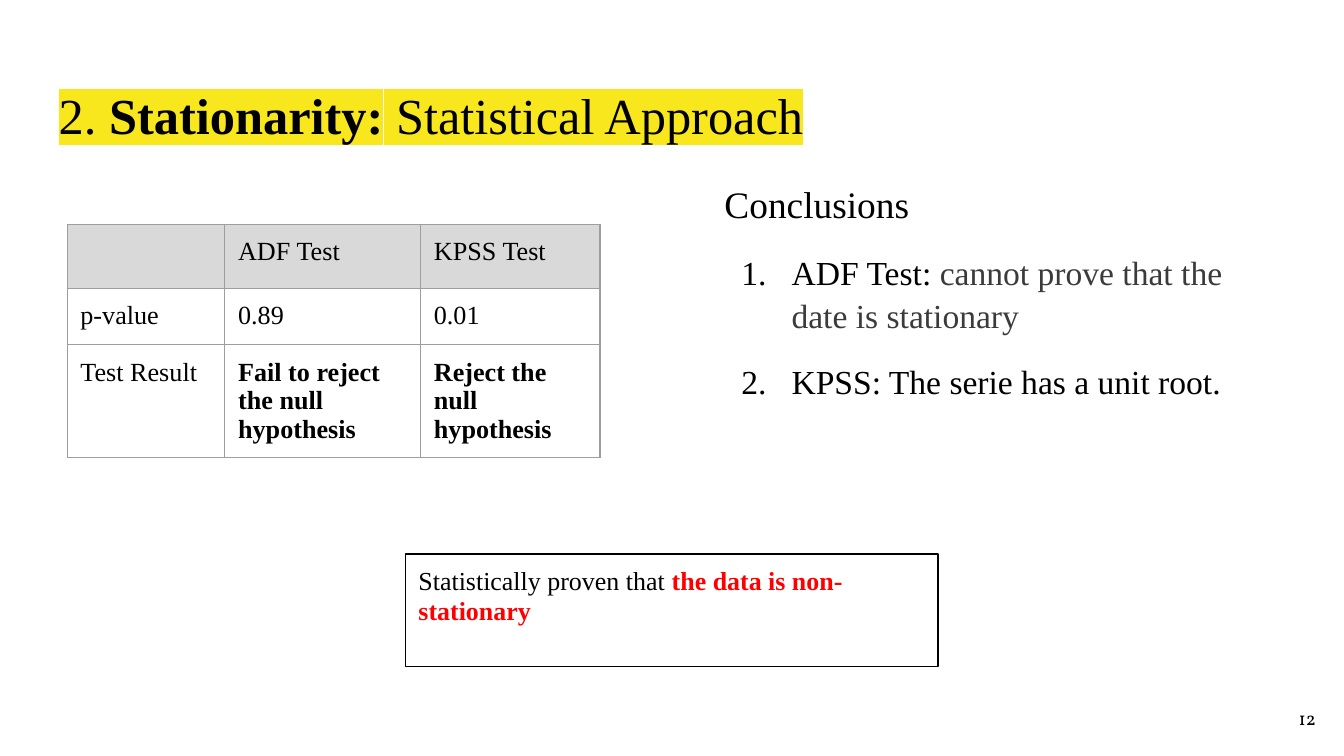
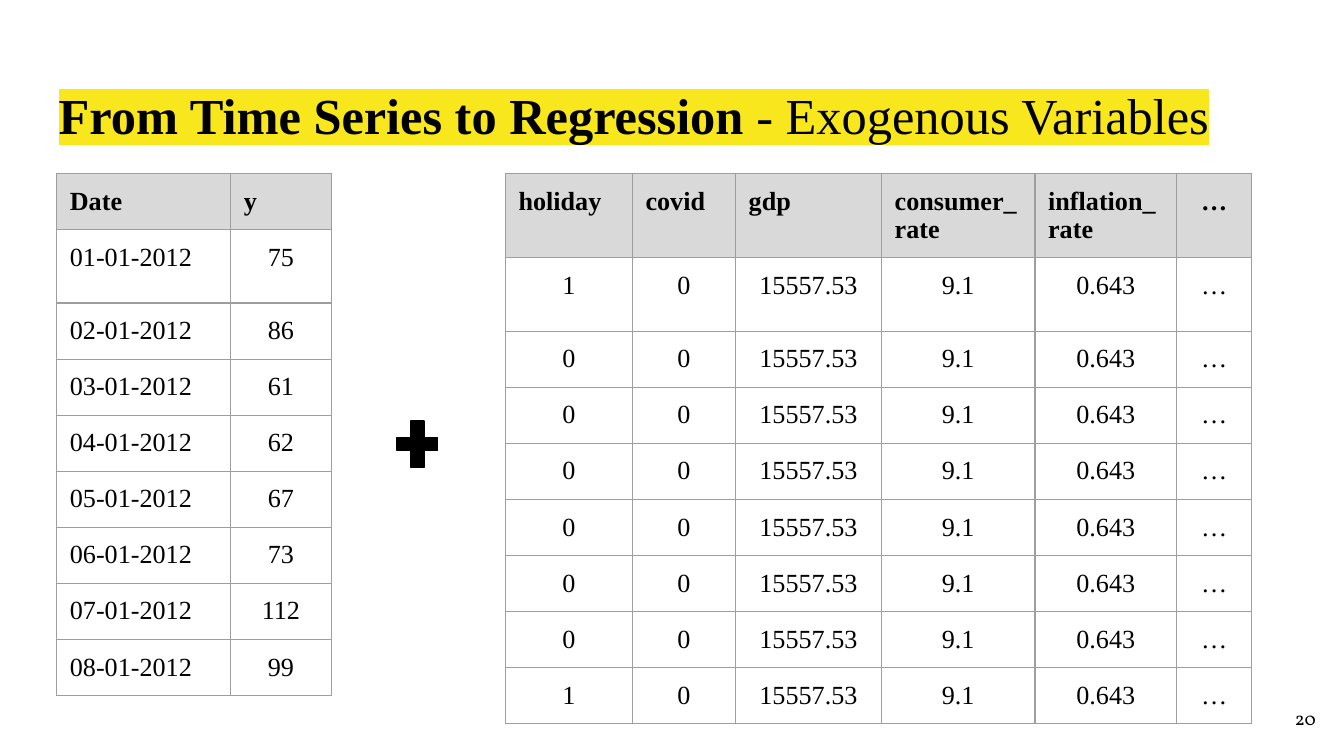
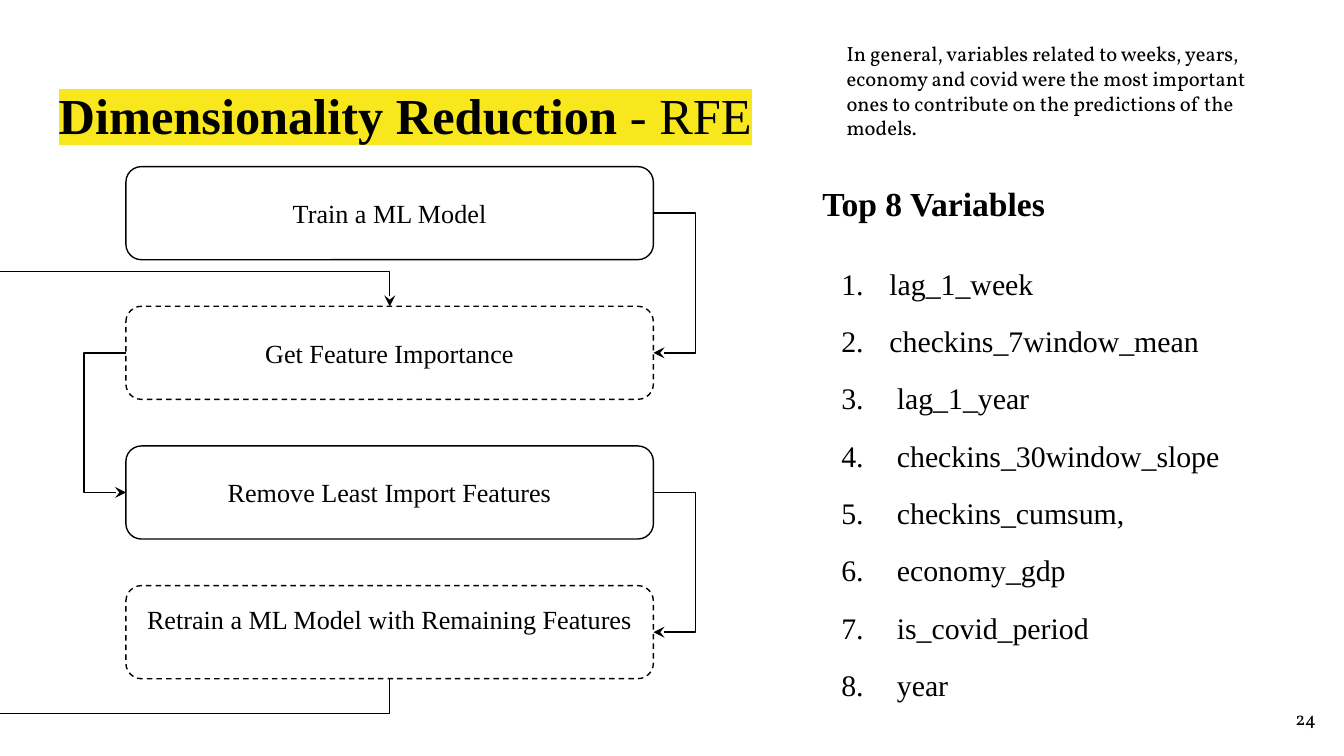
from lxml import etree
from pptx import Presentation
from pptx import util as u
from pptx.dml import color
from pptx.enum import dml, shapes, text
from pptx.oxml import ns

BLACK, WHITE, GREY = "000000", "FFFFFF", "D9D9D9"
EDGE, MARK, RED, DARK = "9E9E9E", "F8E71C", "FF0000", "3B3B3B"
SERIF, SMALL = "Times New Roman", "Vollkorn"
LEAD = 1.08
HAIR = u.Emu(600)
LEFT, MID, RIGHT = text.PP_ALIGN.LEFT, text.PP_ALIGN.CENTER, text.PP_ALIGN.RIGHT
TOP, CENTRE = text.MSO_ANCHOR.TOP, text.MSO_ANCHOR.MIDDLE

TESTS = [
    ("", "ADF Test", "KPSS Test"),
    ("p-value", "0.89", "0.01"),
    ("Test Result", "Fail to reject the null hypothesis",
     "Reject the null hypothesis"),
]
ENDS = [
    [("ADF Test: ", {}),
     ("cannot prove that the date is stationary", {"ink": DARK, "mark": WHITE})],
    [("KPSS: The serie has a unit root.", {})],
]
PROOF = [("Statistically proven that", {}),
         (" the data is non-stationary", {"ink": RED, "bold": True})]

COUNTS = [75, 86, 61, 62, 67, 73, 112, 99]
DAYS = [("Date", "y")] + [
    (f"{day:02}-01-2012", str(count)) for day, count in enumerate(COUNTS, 1)]
FLAGS = "10000001"
FACTS = [("holiday", "covid", "gdp", "consumer_rate", "inflation_rate", "…")] + [
    (flag, "0", "15557.53", "9.1", "0.643", "…") for flag in FLAGS]
TALL = [1.06, 1.39] + [1.06] * 7

STEPS = ["Train a ML Model", "Get Feature Importance",
         "Remove Least Import Features",
         "Retrain a ML Model with Remaining Features"]
VARS = ["lag_1_week", "checkins_7window_mean", " lag_1_year",
        " checkins_30window_slope", " checkins_cumsum,", " economy_gdp",
        " is_covid_period", " year"]
NOTE = ("In general, variables related to weeks, years, economy and covid were "
        "the most important ones to contribute on the predictions of the models.")


def tint(code):
    return color.RGBColor.from_string(code)


def node(host, tag, **attrs):
    return etree.SubElement(host, ns.qn(tag), attrs)


def write(para, words, size, face=SERIF, ink=BLACK, bold=False, mark=None):
    run = para.add_run()
    run.text = words
    font = run.font
    font.size, font.bold = u.Pt(size), bold
    font.color.rgb = tint(ink)
    if mark:
        node(node(run._r.get_or_add_rPr(), "a:highlight"), "a:srgbClr", val=mark)
    font.name = face


def setup(frame, anchor=TOP):
    frame.word_wrap = True
    frame.auto_size = text.MSO_AUTO_SIZE.NONE
    frame.vertical_anchor = anchor
    frame.margin_left = frame.margin_right = u.Cm(0.25)
    frame.margin_top = frame.margin_bottom = u.Cm(0.25)
    return frame.paragraphs[0]


def place(shape, left, top, wide, high):
    shape.left, shape.top = u.Cm(left), u.Cm(top)
    shape.width, shape.height = u.Cm(wide), u.Cm(high)


def plain(para, before=0, after=0):
    props = para._p.get_or_add_pPr()
    props.set("marL", "0")
    props.set("indent", "0")
    node(props, "a:buNone")
    space(para, before, after)


def space(para, before, after):
    para.alignment, para.line_spacing = LEFT, LEAD
    para.space_before, para.space_after = u.Pt(before), u.Pt(after)


def count(para, hang, before, after):
    props = para._p.get_or_add_pPr()
    props.set("marL", str(u.Cm(1.27)))
    props.set("indent", str(-u.Cm(hang)))
    node(node(props, "a:buClr"), "a:srgbClr", val=BLACK)
    node(props, "a:buFont", typeface=SERIF)
    node(props, "a:buAutoNum", type="arabicPeriod")
    space(para, before, after)


def label(slide, spot, words, size, align=LEFT, anchor=TOP):
    box = slide.shapes.add_textbox(*map(u.Cm, spot))
    para = setup(box.text_frame, anchor)
    para.alignment = align
    write(para, words, size, SMALL)


def start(deck, layout, title, page):
    slide = deck.slides.add_slide(deck.slide_layouts[layout])
    head = slide.shapes.title
    place(head, 0.86, 1.24, 23.67, 1.6)
    para = setup(head.text_frame)
    para.alignment, para.line_spacing = LEFT, LEAD
    for words, bold in title:
        write(para, words, 27, bold=bold, mark=MARK)
    label(slide, (23.6, 13.03, 1.52, 1.09), page, 10, RIGHT, CENTRE)
    return slide


def border(cell):
    props = cell._tc.get_or_add_tcPr()
    for spot, tag in enumerate(("a:lnL", "a:lnR", "a:lnT", "a:lnB")):
        line = etree.Element(ns.qn(tag), w=str(u.Pt(0.75)))
        node(node(line, "a:solidFill"), "a:srgbClr", val=EDGE)
        props.insert(spot, line)


def grid(slide, left, top, wides, highs, rows, align, bold):
    frame = slide.shapes.add_table(
        len(rows), len(wides), u.Cm(left), u.Cm(top),
        u.Cm(sum(wides)), u.Cm(sum(highs)))
    table = frame.table
    for col, wide in zip(table.columns, wides):
        col.width = u.Cm(wide)
    for row, high in zip(table.rows, highs):
        row.height = u.Cm(high)
    for r, row in enumerate(rows):
        for c, words in enumerate(row):
            cell = table.cell(r, c)
            cell.margin_left = cell.margin_right = u.Cm(0.25)
            cell.margin_top = cell.margin_bottom = u.Cm(0.25)
            if r == 0:
                cell.fill.solid()
                cell.fill.fore_color.rgb = tint(GREY)
            else:
                cell.fill.background()
            border(cell)
            para = cell.text_frame.paragraphs[0]
            para.alignment = align(r, c, words)
            write(para, words, 14, bold=bold(r, c))


def block(slide, kind, spot, fill=None, dash=False):
    shape = slide.shapes.add_shape(kind, *map(u.Cm, spot))
    shape.shadow.inherit = False
    if fill:
        shape.fill.solid()
        shape.fill.fore_color.rgb = tint(fill)
    else:
        shape.fill.background()
    shape.line.color.rgb = tint(BLACK)
    shape.line.width = u.Pt(0.75)
    if dash:
        shape.line.dash_style = dml.MSO_LINE.DASH
    return shape


def bend(slide, left, top, wide, high, guides, turn=0):
    link = slide.shapes.add_connector(
        shapes.MSO_CONNECTOR.ELBOW, left, top, left + wide, top + high)
    link.line.color.rgb = tint(BLACK)
    link.line.width = u.Pt(0.75)
    node(link.line._get_or_add_ln(), "a:tailEnd", type="stealth")
    props = link._element.spPr
    node(props, "a:effectLst")
    if turn:
        props.find(ns.qn("a:xfrm")).set("rot", str(turn * 60000))
    geom = props.find(ns.qn("a:prstGeom"))
    geom.set("prst", f"bentConnector{len(guides) + 2}")
    held = geom.find(ns.qn("a:avLst"))
    if held is None:
        held = node(geom, "a:avLst")
    for n, share in enumerate(guides, 1):
        node(held, "a:gd", name=f"adj{n}", fmla=f"val {round(share * 100000)}")


def tests(deck):
    slide = start(deck, 1, [("2. ", False), ("Stationarity:", True),
                            (" Statistical Approach", False)], "12")
    grid(slide, 1.27, 4.24, (2.98, 3.7, 3.39), (1.15, 1.06, 1.06), TESTS,
         lambda r, c, words: LEFT, lambda r, c: r == 2 and c > 0)
    body = slide.placeholders[1]
    place(body, 13.44, 3.18, 10.21, 7.92)
    para = setup(body.text_frame)
    plain(para)
    para.line_spacing = 1
    write(para, "Conclusions", 20)
    for n, runs in enumerate(ENDS, 1):
        para = body.text_frame.add_paragraph()
        count(para, 0.95, 12, 12 if n == len(ENDS) else 0)
        for words, look in runs:
            write(para, words, 18, **look)
    box = block(slide, shapes.MSO_SHAPE.RECTANGLE, (7.66, 10.47, 10.07, 2.13), WHITE)
    para = setup(box.text_frame)
    para.alignment, para.line_spacing = LEFT, 0.95
    para.space_after = u.Pt(12)
    for words, look in PROOF:
        write(para, words, 13.9, **look)


def series(deck):
    slide = start(deck, 5, [("From Time Series to Regression", True),
                            (" - Exogenous Variables", False)], "20")
    grid(slide, 1.07, 3.28, (3.29, 1.9), TALL, DAYS,
         lambda r, c, words: MID if r and c else LEFT, lambda r, c: r == 0)
    grid(slide, 9.55, 3.28, (2.4, 1.95, 2.76, 2.9, 2.68, 1.42), TALL, FACTS,
         lambda r, c, words: MID if r or words == "…" else LEFT,
         lambda r, c: r == 0)
    plus = block(slide, shapes.MSO_SHAPE.MATH_PLUS, (7.37, 7.8, 1.04, 1.19), BLACK)
    plus.adjustments[0] = 0.235


def choice(deck):
    slide = start(deck, 1, [("Dimensionality Reduction", True),
                            (" - RFE", False)], "24")
    left, top, wide, high, step, out = 2.38, 3.15, 9.97, 1.76, 2.64, 0.66
    mids = []
    for n, words in enumerate(STEPS):
        y = top + n * step
        box = block(slide, shapes.MSO_SHAPE.ROUNDED_RECTANGLE,
                    (left, y, wide, high), dash=n % 2 == 1)
        para = setup(box.text_frame, TOP if n == len(STEPS) - 1 else CENTRE)
        para.alignment = MID
        write(para, words, 14)
        mids.append(y + high / 2)
    for n, y in enumerate(mids[:-1]):
        edge, side = (left, -1) if n % 2 else (left + wide, 1)
        bend(slide, u.Cm(edge), u.Cm(y), HAIR, u.Cm(step),
             [side * u.Cm(out) / HAIR])
    rise = 2 * step + high
    middle = top + step + rise / 2
    over = out / rise
    bend(slide, u.Cm(left + wide / 2 - rise / 2), u.Cm(middle), u.Cm(rise), HAIR,
         [-over, -u.Cm(6.17) / HAIR, 1 + over], 270)

    body = slide.placeholders[1]
    place(body, 15.29, 3.15, 8.79, 10.82)
    para = setup(body.text_frame)
    plain(para)
    write(para, "Top 8 Variables", 18, bold=True)
    for n, words in enumerate(VARS, 1):
        para = body.text_frame.add_paragraph()
        count(para, 0.91, 21 if n == 1 else 10, 10 if n == len(VARS) else 0)
        write(para, words, 16)
    label(slide, (15.75, 0.53, 8.79, 1.75), NOTE, 11)


def main():
    deck = Presentation()
    deck.slide_width, deck.slide_height = u.Cm(25.4), u.Cm(14.29)
    for build in (tests, series, choice):
        build(deck)
    deck.save("out.pptx")


if __name__ == "__main__":
    main()
